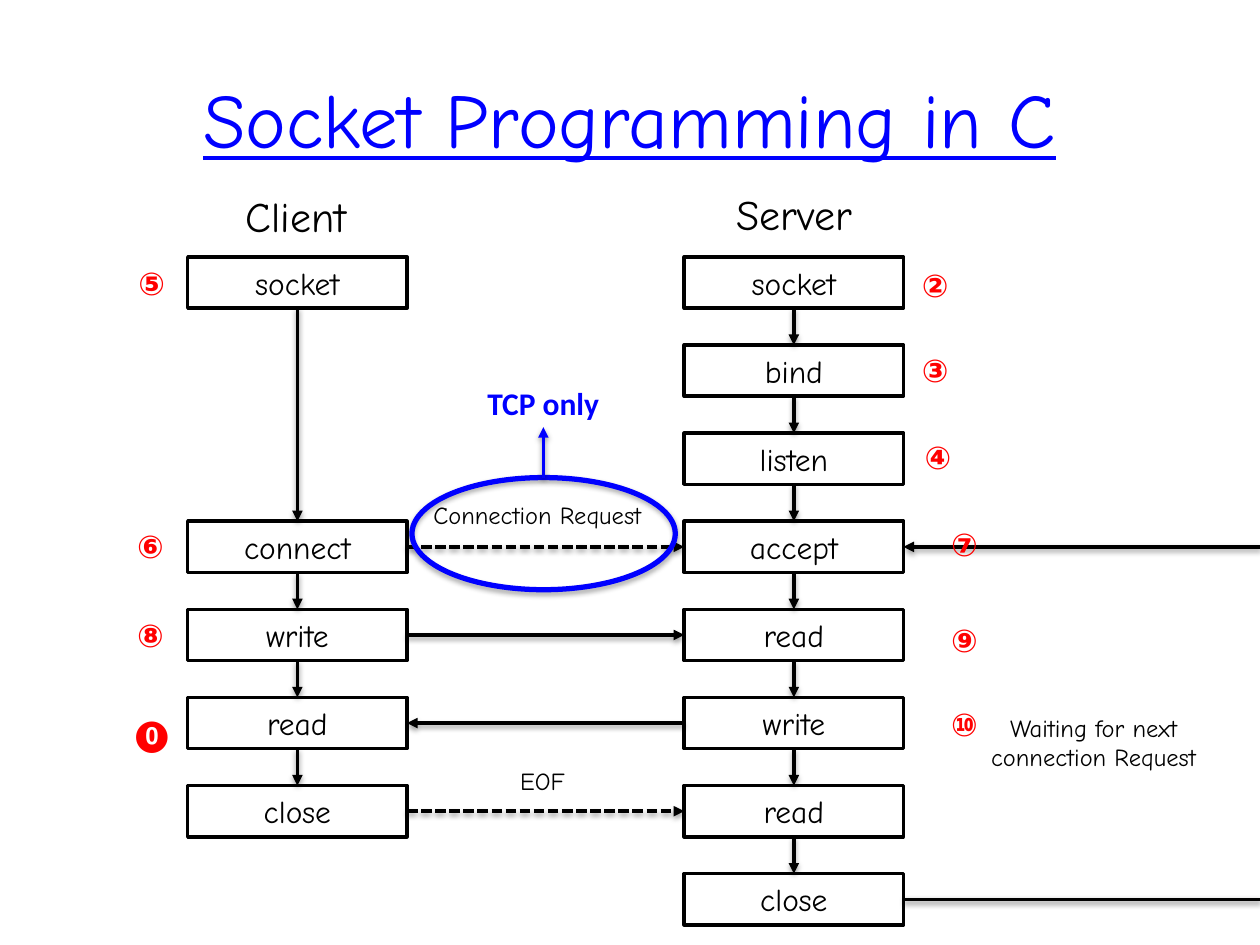
from lxml import etree
from pptx import Presentation
from pptx.dml.color import RGBColor
from pptx.enum.dml import MSO_LINE
from pptx.enum.shapes import MSO_CONNECTOR, MSO_SHAPE
from pptx.enum.text import MSO_ANCHOR, PP_ALIGN
from pptx.oxml import parse_xml
from pptx.oxml.ns import qn
from pptx.util import Pt

STRAIGHT = MSO_CONNECTOR.STRAIGHT
RECT, OVAL = MSO_SHAPE.RECTANGLE, MSO_SHAPE.OVAL
LEFT, CENTER = PP_ALIGN.LEFT, PP_ALIGN.CENTER
TOP, MIDDLE = MSO_ANCHOR.TOP, MSO_ANCHOR.MIDDLE
SYS_DASH = MSO_LINE.SQUARE_DOT

COLORS = {"black": "000000", "white": "FFFFFF", "blue": "0000FF", "red": "FF0000"}
FONT = "Comic Neue"
SLIDE_W, SLIDE_H = 720, 540

# Flow grid: two columns of calls on a common row pitch
CLIENT_X, SERVER_X = 107.3, 391
CALL_W, CALL_H = 125.3, 29.3
FIRST_ROW, ROW_PITCH = 146.8, 50.35
CLIENT_CALLS = {0: "socket", 3: "connect", 4: "write", 5: "read", 6: "close"}
SERVER_CALLS = dict(enumerate(
    ["socket", "bind", "listen", "accept", "read", "write", "read", "close"]))

# Step markers: symbol, left, top
STEPS = [
    ("②", 519.8, 148.3), ("③", 519.8, 197.3), ("④", 521.3, 247),
    ("⑤", 72, 147.6), ("⑥", 71.3, 297.4), ("⑦", 536.4, 296.6),
    ("⑧", 71.3, 348.5), ("⑨", 536.4, 351.4), ("⑩", 536.4, 399.6),
    ("⓿", 70.6, 403.9),
]


def rgb(name):
    return RGBColor.from_string(COLORS[name])


def row_top(row):
    return FIRST_ROW + row * ROW_PITCH


def row_middle(row):
    return row_top(row) + CALL_H / 2


def write_text(frame, text, size=18, color="black", font=FONT, bold=False,
               underline=False, align=LEFT, anchor=TOP, wrap=False):
    frame.word_wrap = wrap
    frame.vertical_anchor = anchor
    frame.text = text
    for paragraph in frame.paragraphs:
        paragraph.alignment = align
        style = paragraph.runs[0].font
        style.name, style.size = font, Pt(size)
        style.bold, style.underline = bold, underline
        style.color.rgb = rgb(color)


def add_label(slide, text, left, top, width, height, **text_format):
    label = slide.shapes.add_textbox(Pt(left), Pt(top), Pt(width), Pt(height))
    write_text(label.text_frame, text, **text_format)


def add_soft_shadow(shape, opacity):
    shape._element.spPr.append(parse_xml(
        '<a:effectLst xmlns:a="http://schemas.openxmlformats.org/drawingml/2006/main">'
        '<a:outerShdw blurRad="39370" dist="20320" dir="5400000" rotWithShape="0">'
        f'<a:srgbClr val="{COLORS["black"]}"><a:alpha val="{opacity * 1000}"/></a:srgbClr>'
        '</a:outerShdw></a:effectLst>'))


def add_call(slide, name, left, row):
    call = slide.shapes.add_shape(RECT, Pt(left), Pt(row_top(row)), Pt(CALL_W), Pt(CALL_H))
    call.shadow.inherit = False
    call.fill.solid()
    call.fill.fore_color.rgb = rgb("white")
    call.line.color.rgb = rgb("black")
    call.line.width = Pt(2)
    write_text(call.text_frame, name, align=CENTER, anchor=MIDDLE, wrap=True)


def add_arrow(slide, start, end, color="black", dashed=False, head=True):
    arrow = slide.shapes.add_connector(
        STRAIGHT, Pt(start[0]), Pt(start[1]), Pt(end[0]), Pt(end[1]))
    arrow.line.color.rgb = rgb(color)
    arrow.line.width = Pt(2)
    if dashed:
        arrow.line.dash_style = SYS_DASH
    if head:
        etree.SubElement(arrow.line._get_or_add_ln(), qn("a:tailEnd"), type="triangle")
    add_soft_shadow(arrow, 38)


def add_column(slide, calls, left):
    for row, name in calls.items():
        add_call(slide, name, left, row)
    center = left + CALL_W / 2
    rows = list(calls)
    for upper, lower in zip(rows, rows[1:]):
        add_arrow(slide, (center, row_top(upper) + CALL_H), (center, row_top(lower)))


def add_messages(slide):
    client_edge, server_edge = CLIENT_X + CALL_W, SERVER_X
    for row, to_server, dashed in [(3, True, True), (4, True, False),
                                   (5, False, False), (6, True, True)]:
        ends = [(client_edge, row_middle(row)), (server_edge, row_middle(row))]
        start, end = ends if to_server else ends[::-1]
        add_arrow(slide, start, end, dashed=dashed)

    # Loop from close back to accept, running to the slide's edge
    loop_x = SERVER_X + CALL_W
    add_arrow(slide, (loop_x, row_middle(7)), (SLIDE_W, row_middle(7)), head=False)
    add_arrow(slide, (SLIDE_W, row_middle(3)), (loop_x, row_middle(3)))

    add_label(slide, "Connection Request", 240.5, 282.2, 142.6, 24.5, size=14)
    add_label(slide, "EOF", 290.2, 434.2, 43.2, 24.5, size=14)
    add_label(slide, "Waiting for next\nconnection Request", 554.4, 403.9, 141.1, 41,
              size=14, align=CENTER)


def add_tcp_note(slide):
    add_label(slide, "TCP only", 271.4, 216, 79.2, 28.8,
              font="Calibri", color="blue", bold=True)
    ring = slide.shapes.add_shape(OVAL, Pt(235.4), Pt(272.9), Pt(150.5), Pt(64.1))
    ring.fill.background()
    ring.line.color.rgb = rgb("blue")
    ring.line.width = Pt(3)
    add_soft_shadow(ring, 35)
    add_arrow(slide, (310.5, 272.9), (310.5, 244.1), color="blue")


def main():
    deck = Presentation()
    deck.slide_width, deck.slide_height = Pt(SLIDE_W), Pt(SLIDE_H)
    slide = deck.slides.add_slide(deck.slide_layouts[6])

    # Title and column headings
    add_label(slide, "Socket Programming in C", 36, 22.3, 648, 90, size=44, color="blue",
              underline=True, align=CENTER, anchor=MIDDLE, wrap=True)
    add_label(slide, "Client", 129.6, 105.1, 79.2, 36, size=24, align=CENTER, anchor=MIDDLE)
    add_label(slide, "Server", 407.5, 104.4, 92.9, 36, size=24, align=CENTER, anchor=MIDDLE)

    # Call sequences and the traffic between them
    add_column(slide, CLIENT_CALLS, CLIENT_X)
    add_column(slide, SERVER_CALLS, SERVER_X)
    add_messages(slide)
    add_tcp_note(slide)

    # Step markers
    for symbol, left, top in STEPS:
        add_label(slide, symbol, left, top, 31, 28.8, color="red", bold=True)

    deck.save("out.pptx")


if __name__ == "__main__":
    main()
